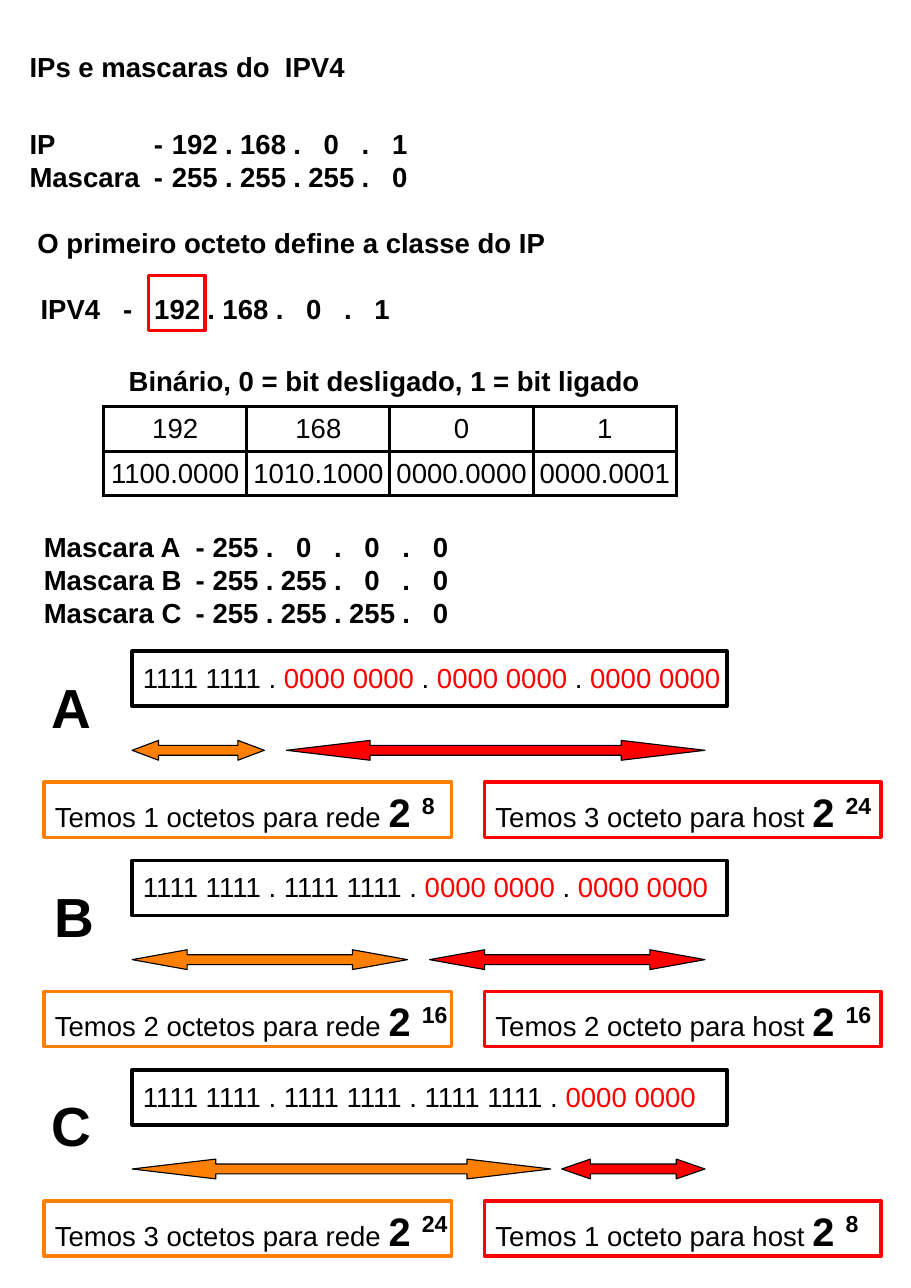
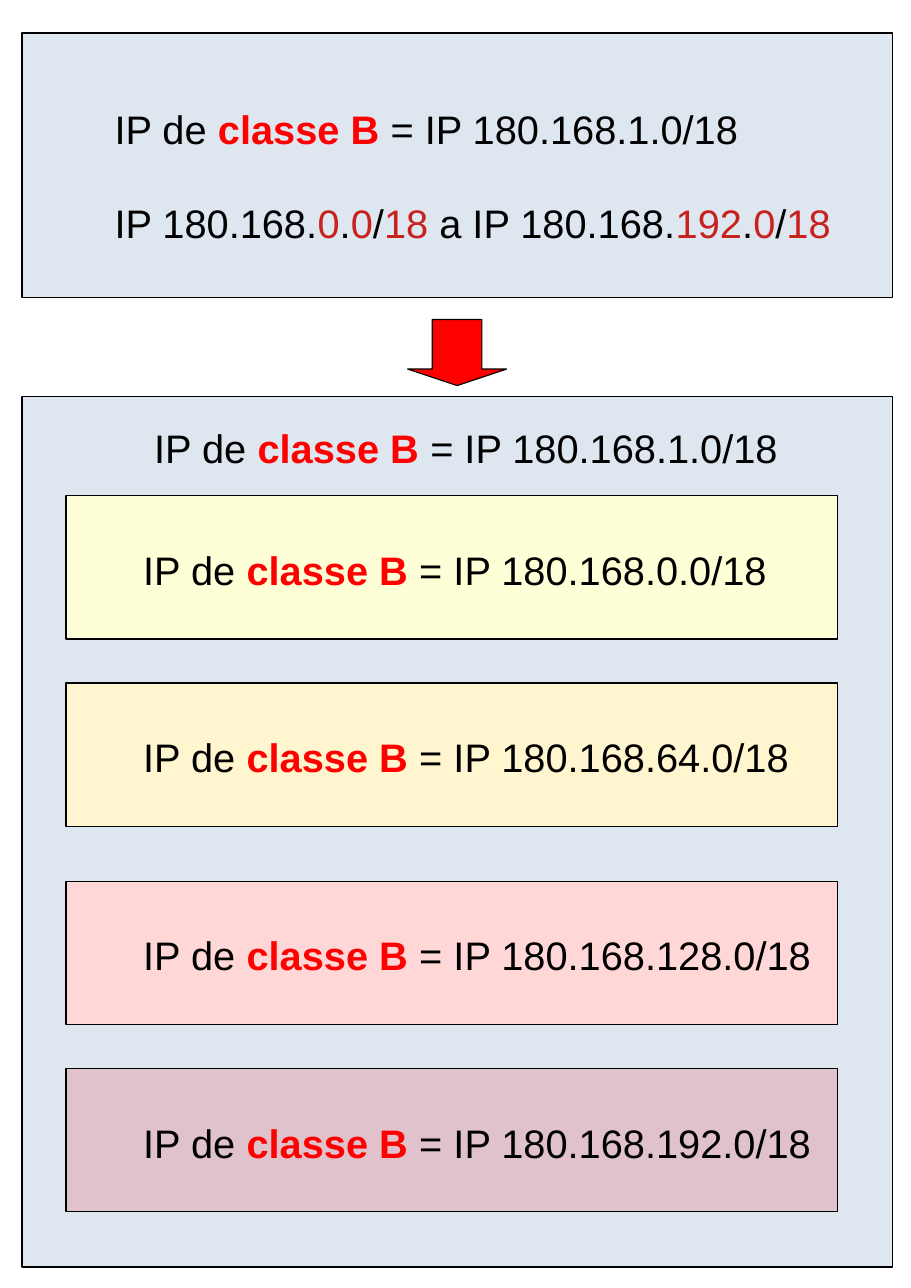
from lxml import etree
from pptx import Presentation
from pptx.dml.color import RGBColor
from pptx.enum.shapes import MSO_SHAPE
from pptx.enum.text import MSO_ANCHOR, PP_ALIGN
from pptx.oxml.ns import qn
from pptx.util import Inches, Pt

RECTANGLE = MSO_SHAPE.RECTANGLE
DOUBLE_ARROW = MSO_SHAPE.LEFT_RIGHT_ARROW
DOWN_ARROW = MSO_SHAPE.DOWN_ARROW
TOP = MSO_ANCHOR.TOP
MIDDLE = MSO_ANCHOR.MIDDLE
LEFT = PP_ALIGN.LEFT
CENTER = PP_ALIGN.CENTER

BLACK, RED, ORANGE = "000000", "FF0000", "FF8000"
DARK_RED, PANEL = "C9211E", "DEE6EF"
FRAME_WIDTH = 2.3
INSETS = (0.1, 0.05, 0.1, 0.05)
BASE = {"name": "Arial", "size": 18, "bold": False, "color": BLACK}
BOLD = {"bold": True}
POWER = {"bold": True, "size": 26}
LARGE = {"size": 26}

HEADINGS = [
    ("IPs e mascaras do  IPV4", 0.17, 0.4, 3.43),
    ("O primeiro octeto define a classe do IP", 0.24, 2, 4.83),
    ("Binário, 0 = bit desligado, 1 = bit ligado", 1.07, 3.25, 5.1),
]
ADDRESS_BLOCKS = [
    {"at": (0.17, 1.1, 4.33, 0.7), "dash": 1.17, "octet": 1.5,
     "lines": [("IP", "192.168.0.1"), ("Mascara", "255.255.255.0")]},
    {"at": (0.27, 2.6, 4.33, 0.4), "dash": 0.79, "octet": 1.24,
     "lines": [("IPV4", "192.168.0.1")]},
    {"at": (0.3, 4.76, 4.33, 0.94), "dash": 1.42, "octet": 1.74,
     "lines": [("Mascara A", "255.0.0.0"), ("Mascara B", "255.255.0.0"),
               ("Mascara C", "255.255.255.0")]},
]
TAB_STEP = 0.31
BINARY_ROWS = [
    ("192", "168", "0", "1"),
    ("1100.0000", "1010.1000", "0000.0000", "0000.0001"),
]
CLASSES = [("A", 0.37, 2.6), ("B", 0.4, 3.9), ("C", 0.37, 5.1)]
CLASS_TOP, CLASS_STEP = 5.91, 1.9
ARROW_LEFT, ARROW_RIGHT, ARROW_HEIGHT = 1.2, 6.4, 0.18

RANGE_PARTS = [
    ("IP 180.168.", BLACK), ("0", DARK_RED), (".", BLACK), ("0", DARK_RED),
    ("/", BLACK), ("18", DARK_RED), (" a IP 180.168.", BLACK),
    ("192", DARK_RED), (".", BLACK), ("0", DARK_RED), ("/", BLACK),
    ("18", DARK_RED),
]
SUBNETS = [
    ("180.168.0.0/18", 4.5, "FFFFD7"),
    ("180.168.64.0/18", 6.2, "FFF5CE"),
    ("180.168.128.0/18", 8, "FFD7D7"),
    ("180.168.192.0/18", 9.7, "E0C2CD"),
]


def color(value):
    return RGBColor.from_string(value)


def add_runs(paragraph, runs):
    for text, changes in runs:
        run = paragraph.add_run()
        run.text = text
        values = {**BASE, **changes}
        run.font.color.rgb = color(values.pop("color"))
        baseline = values.pop("baseline", None)
        values["size"] = Pt(values["size"])
        for name, value in values.items():
            setattr(run.font, name, value)
        if baseline:
            run._r.get_or_add_rPr().set("baseline", str(baseline))


def add_tabs(paragraph, positions):
    tab_list = etree.SubElement(paragraph._p.get_or_add_pPr(), qn("a:tabLst"))
    for position in positions:
        etree.SubElement(tab_list, qn("a:tab"), pos=str(Inches(position)), algn="ctr")


def write(shape, paragraphs, insets=INSETS, tabs=(), gap=0):
    frame = shape.text_frame
    frame.word_wrap = True
    frame.vertical_anchor = TOP
    for side, inset in zip(("left", "top", "right", "bottom"), insets):
        setattr(frame, f"margin_{side}", Inches(inset))
    for index, runs in enumerate(paragraphs):
        paragraph = frame.add_paragraph() if index else frame.paragraphs[0]
        paragraph.alignment = LEFT
        if index and gap:
            paragraph.space_before = Pt(gap)
        if tabs:
            add_tabs(paragraph, tabs)
        add_runs(paragraph, runs)


def add_text(slide, at, paragraphs, **options):
    write(slide.shapes.add_textbox(*map(Inches, at)), paragraphs, **options)


def add_box(slide, at, fill=None, line=BLACK, width=0, kind=RECTANGLE, adjust=()):
    shape = slide.shapes.add_shape(kind, *map(Inches, at))
    shape.shadow.inherit = False
    if fill:
        shape.fill.solid()
        shape.fill.fore_color.rgb = color(fill)
    else:
        shape.fill.background()
    shape.line.color.rgb = color(line)
    shape.line.width = Pt(width)
    for index, value in enumerate(adjust):
        shape.adjustments[index] = value
    return shape


def add_borders(cell):
    properties = cell._tc.get_or_add_tcPr()
    for index, side in enumerate("LRTB"):
        line = etree.Element(qn(f"a:ln{side}"), w=str(Pt(FRAME_WIDTH)))
        fill = etree.SubElement(line, qn("a:solidFill"))
        etree.SubElement(fill, qn("a:srgbClr"), val=BLACK)
        properties.insert(index, line)


def add_binary_table(slide):
    at = map(Inches, (0.94, 3.69, 5.2, 0.81))
    table = slide.shapes.add_table(2, 4, *at).table
    table.first_row = table.horz_banding = False
    for row, values in enumerate(BINARY_ROWS):
        for column, value in enumerate(values):
            cell = table.cell(row, column)
            cell.fill.background()
            cell.vertical_anchor = MIDDLE
            for side in ("left", "top", "right", "bottom"):
                setattr(cell, f"margin_{side}", 0)
            paragraph = cell.text_frame.paragraphs[0]
            paragraph.alignment = CENTER
            add_runs(paragraph, [(value, {})])
            add_borders(cell)


def add_class(slide, index, letter, letter_left, host_left):
    network = index + 1
    top = CLASS_TOP + index * CLASS_STEP
    add_text(slide, (letter_left, top + 0.15, 0.83, 0.66),
             [[(letter, {"size": 36, "bold": True})]])

    bits = []
    for octet in range(4):
        if octet:
            bits.append((" . ", {}))
        bits.append(("1111 1111", {}) if octet < network
                    else ("0000 0000", {"color": RED}))
    frame = add_box(slide, (1.2, top, 5.4, 0.5), width=FRAME_WIDTH)
    write(frame, [bits], insets=(0.1, 0.09, 0, 0))

    parts = [
        (ORANGE, ARROW_LEFT, 1.3 * network - 0.1, 0.4, 3.7, "octetos para rede", network),
        (RED, host_left, ARROW_RIGHT - host_left, 4.4, 3.6, "octeto para host", 4 - network),
    ]
    for tone, arrow_left, arrow_width, left, width, words, count in parts:
        add_box(slide, (arrow_left, top + 0.81, arrow_width, ARROW_HEIGHT), tone,
                kind=DOUBLE_ARROW, adjust=(0.5, 0.2 * arrow_width / ARROW_HEIGHT))
        box = add_box(slide, (left, top + 1.19, width, 0.5), line=tone, width=FRAME_WIDTH)
        write(box, [[(f"Temos {count} {words} ", {}), ("2 ", POWER),
                     (str(8 * count), {**POWER, "baseline": 33000})]],
              insets=(0.1, 0.05, 0, 0))


def build_masks(slide):
    for text, left, top, width in HEADINGS:
        add_text(slide, (left, top, width, 0.38), [[(text, BOLD)]])
    for block in ADDRESS_BLOCKS:
        tabs = [block["dash"]] + [block["octet"] + step * TAB_STEP for step in range(7)]
        lines = [[("\t".join([label, "-", address.replace(".", "\t.\t")]), BOLD)]
                 for label, address in block["lines"]]
        add_text(slide, block["at"], lines, tabs=tabs)
    add_box(slide, (1.35, 2.5, 0.51, 0.5), line=RED, width=FRAME_WIDTH)
    add_binary_table(slide)
    for index, values in enumerate(CLASSES):
        add_class(slide, index, *values)


def class_b(address):
    return [("IP de ", LARGE), ("classe B", {**POWER, "color": RED}),
            (f" = IP {address}", LARGE)]


def build_subnets(slide):
    address_range = [(text, {**LARGE, "color": tone}) for text, tone in RANGE_PARTS]
    summary = add_box(slide, (0.2, 0.3, 7.9, 2.4), PANEL)
    write(summary, [class_b("180.168.1.0/18"), address_range],
          insets=(0.84, 0.65, 0.1, 0.05), gap=30)
    add_box(slide, (3.7, 2.9, 0.9, 0.6), RED, kind=DOWN_ARROW, adjust=(0.5, 0.25))
    panel = add_box(slide, (0.2, 3.6, 7.9, 7.9), PANEL)
    write(panel, [class_b("180.168.1.0/18")], insets=(1.2, 0.25, 0.1, 0.05))
    for address, top, fill in SUBNETS:
        band = add_box(slide, (0.6, top, 7, 1.3), fill)
        write(band, [class_b(address)], insets=(0.7, 0.45, 0.1, 0.05))


def main():
    presentation = Presentation()
    presentation.slide_width = Inches(8.27)
    presentation.slide_height = Inches(11.69)
    for build in (build_masks, build_subnets):
        build(presentation.slides.add_slide(presentation.slide_layouts[6]))
    presentation.save("out.pptx")


if __name__ == "__main__":
    main()
